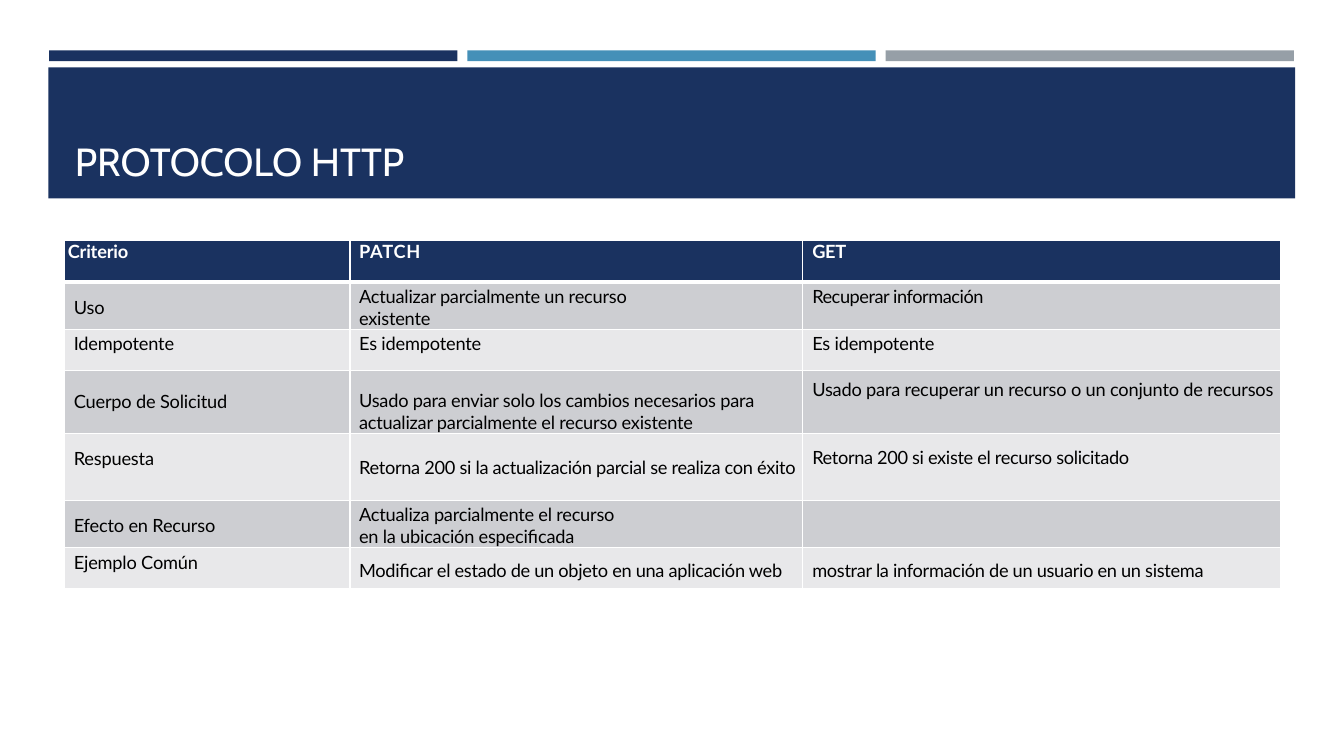
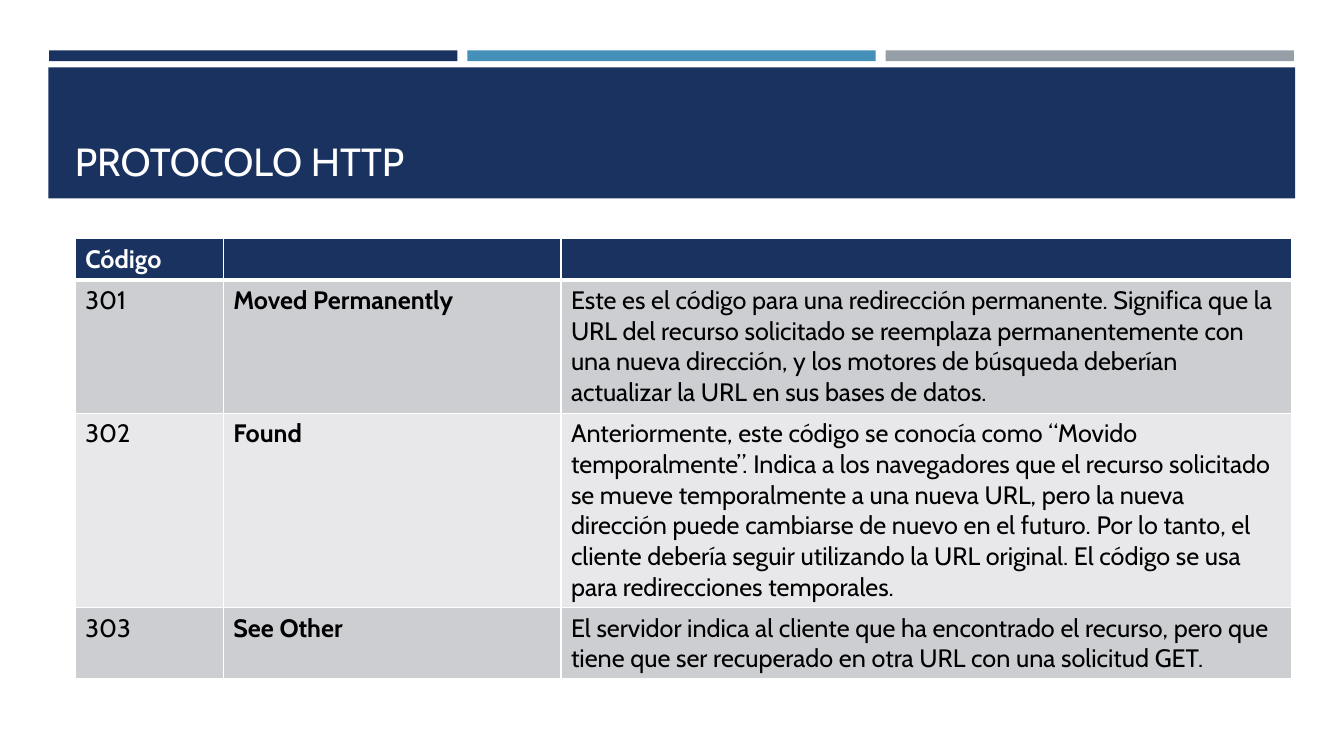
"""Build two slides about HTTP methods and redirection codes."""
from dataclasses import dataclass
from typing import Any

from lxml import etree
from pptx import Presentation
from pptx import util as u
from pptx.dml.color import RGBColor
from pptx.enum import shapes, text
from pptx.oxml import ns


@dataclass(frozen=True)
class Theme:
    navy: str = "1A3260"
    blue: str = "4590B8"
    gray: str = "969FA7"
    white: str = "FFFFFF"
    black: str = "000000"
    row_fills: tuple[str, str] = ("CDCED2", "E8E8EA")
    heading_font: str = "Cabin"
    compact_font: str = "Lato"
    title_size: float = 28
    table_size: float = 18
    compact_size: float = 13
    border: float = 1
    header_border: float = 3


@dataclass(frozen=True)
class Box:
    left: float
    top: float
    width: float
    height: float
    color: str = ""

    def lengths(self) -> dict[str, u.Length]:
        return {name: u.Cm(getattr(self, name)) for name in ("left", "top", "width", "height")}


@dataclass(frozen=True)
class Entry:
    text: str = ""
    top: float = 0.13
    spacing: float = 0
    left: float = 0.25
    right: float = 0.25
    bold: bool = False


@dataclass(frozen=True)
class Grid:
    left: float
    top: float
    columns: tuple[float, ...]
    heights: tuple[float, ...]
    font: str
    size: float
    rows: list[list[Entry]]


THEME = Theme()
TITLE = "PROTOCOLO HTTP"
TITLE_BOX = Box(1.63, 1.96, 30.63, 2.82)
BANDS = [
    Box(1.24 + index * 10.54, 1.27, 10.29, 0.27, color)
    for index, color in enumerate((THEME.navy, THEME.blue, THEME.gray))
] + [Box(1.22, 1.7, 31.42, 3.3, THEME.navy)]


def compact(content: str, top: float = 0.08, spacing: float = -0.1, left: float = 0.23) -> Entry:
    return Entry(content, top, spacing, left, 0)


METHODS = Grid(
    1.63, 6.07, (7.19, 11.4, 12.06), (1.04, 1.19, 1.04, 1.57, 1.69, 1.19, 1.04),
    THEME.compact_font, THEME.compact_size,
    [
        [compact("Criterio", 0, left=0.08), compact("PATCH", 0, 0.6), compact("GET", 0, -0.2, 0.25)],
        [
            compact("Uso", 0.36),
            compact("Actualizar parcialmente un recurso\nexistente", spacing=-0.15),
            compact("Recuperar información", spacing=-0.3, left=0.25),
        ],
        [compact("Idempotente"), compact("Es idempotente"), compact("Es idempotente", left=0.25)],
        [
            compact("Cuerpo de Solicitud", 0.51),
            compact(
                "Usado para enviar solo los cambios necesarios para "
                "actualizar parcialmente el recurso existente", 0.48, -0.15),
            compact("Usado para recuperar un recurso o un conjunto de recursos", 0.2, left=0.25),
        ],
        [
            compact("Respuesta", 0.36),
            compact("Retorna 200 si la actualización parcial se realiza con éxito", 0.58, -0.2),
            compact("Retorna 200 si existe el recurso solicitado", 0.33, -0.22, 0.25),
        ],
        [
            compact("Efecto en Recurso", 0.36),
            compact("Actualiza parcialmente el recurso\nen la ubicación especificada", spacing=-0.15),
            Entry(),
        ],
        [
            compact("Ejemplo Común", 0.1),
            compact("Modificar el estado de un objeto en una aplicación web", 0.3, -0.2),
            compact("mostrar la información de un usuario en un sistema", 0.3, -0.2, 0.25),
        ],
    ],
)

CODES = Grid(
    1.9, 6.02, (3.73, 8.51, 18.41), (1.03, 3.36, 4.9, 1.79),
    THEME.heading_font, THEME.table_size,
    [
        [Entry("Código"), Entry(), Entry()],
        [
            Entry("301"),
            Entry("Moved Permanently", bold=True),
            Entry(
                "Este es el código para una redirección permanente. Significa que la URL del "
                "recurso solicitado se reemplaza permanentemente con una nueva dirección, y los "
                "motores de búsqueda deberían actualizar la URL en sus bases de datos."),
        ],
        [
            Entry("302"),
            Entry("Found", bold=True),
            Entry(
                "Anteriormente, este código se conocía como “Movido temporalmente”. Indica a los "
                "navegadores que el recurso solicitado se mueve temporalmente a una nueva URL, "
                "pero la nueva dirección puede cambiarse de nuevo en el futuro. Por lo tanto, el "
                "cliente debería seguir utilizando la URL original. El código se usa para "
                "redirecciones temporales."),
        ],
        [
            Entry("303"),
            Entry("See Other", bold=True),
            Entry(
                "El servidor indica al cliente que ha encontrado el recurso, pero que tiene que "
                "ser recuperado en otra URL con una solicitud GET."),
        ],
    ],
)


def apply_format(target: Any, values: dict[str, Any]) -> None:
    for name, value in values.items():
        setattr(target, name, value)


def format_font(font: Any, name: str, size: float, color: str, bold: bool = False) -> None:
    apply_format(font, {"name": name, "size": u.Pt(size), "bold": bold})
    font.color.rgb = RGBColor.from_string(color)


def fill_solid(target: Any, color: str) -> None:
    target.fill.solid()
    target.fill.fore_color.rgb = RGBColor.from_string(color)


def add_bands(slide: Any) -> None:
    layout_tree = slide.slide_layout.shapes.element
    for position, band in enumerate(BANDS, start=2):
        shape = slide.shapes.add_shape(shapes.MSO_SHAPE.RECTANGLE, **band.lengths())
        shape.shadow.inherit = False
        fill_solid(shape, band.color)
        shape.line.fill.background()
        layout_tree.insert(position, shape.element)


def add_title(slide: Any) -> None:
    title = slide.shapes.title
    apply_format(title, TITLE_BOX.lengths())
    title.text = TITLE
    frame = title.text_frame
    apply_format(frame, {
        "vertical_anchor": text.MSO_ANCHOR.BOTTOM,
        "auto_size": text.MSO_AUTO_SIZE.NONE,
        "word_wrap": True,
    })
    paragraph = frame.paragraphs[0]
    paragraph.alignment = text.PP_ALIGN.LEFT
    format_font(paragraph.runs[0].font, THEME.heading_font, THEME.title_size, THEME.white)


def add_borders(cell: Any, row: int) -> None:
    properties = cell._tc.get_or_add_tcPr()
    thick_side = {0: "lnB", 1: "lnT"}.get(row)
    for position, side in enumerate(("lnL", "lnR", "lnT", "lnB")):
        width = THEME.header_border if side == thick_side else THEME.border
        line = etree.Element(ns.qn(f"a:{side}"), w=str(u.Pt(width)))
        fill = etree.SubElement(line, ns.qn("a:solidFill"))
        etree.SubElement(fill, ns.qn("a:srgbClr"), val=THEME.white)
        properties.insert(position, line)


def write_cell(cell: Any, entry: Entry, grid: Grid, row: int) -> None:
    header = row == 0
    apply_format(cell, {
        "margin_left": u.Cm(entry.left),
        "margin_right": u.Cm(entry.right),
        "margin_top": u.Cm(entry.top),
        "margin_bottom": u.Cm(0),
        "text": entry.text,
    })
    fill_solid(cell, THEME.navy if header else THEME.row_fills[(row - 1) % 2])
    add_borders(cell, row)
    color = THEME.white if header else THEME.black
    for paragraph in cell.text_frame.paragraphs:
        for run in paragraph.runs:
            format_font(run.font, grid.font, grid.size, color, header or entry.bold)
            if entry.spacing:
                run._r.get_or_add_rPr().set("spc", str(round(entry.spacing * 100)))


def add_grid(slide: Any, grid: Grid) -> None:
    box = Box(grid.left, grid.top, sum(grid.columns), sum(grid.heights))
    table = slide.shapes.add_table(len(grid.heights), len(grid.columns), **box.lengths()).table
    apply_format(table, {"first_row": False, "horz_banding": False})
    for column, width in zip(table.columns, grid.columns):
        column.width = u.Cm(width)
    for row, (table_row, height) in enumerate(zip(table.rows, grid.heights)):
        table_row.height = u.Cm(height)
        for cell, entry in zip(table_row.cells, grid.rows[row]):
            write_cell(cell, entry, grid, row)


def main() -> None:
    presentation = Presentation()
    apply_format(presentation, {"slide_width": u.Cm(33.87), "slide_height": u.Cm(19.05)})
    layout = presentation.slide_layouts.get_by_name("Title Only")
    for index, grid in enumerate((METHODS, CODES)):
        slide = presentation.slides.add_slide(layout)
        if index == 0:
            add_bands(slide)
        add_title(slide)
        add_grid(slide, grid)
    presentation.save("out.pptx")


if __name__ == "__main__":
    main()
